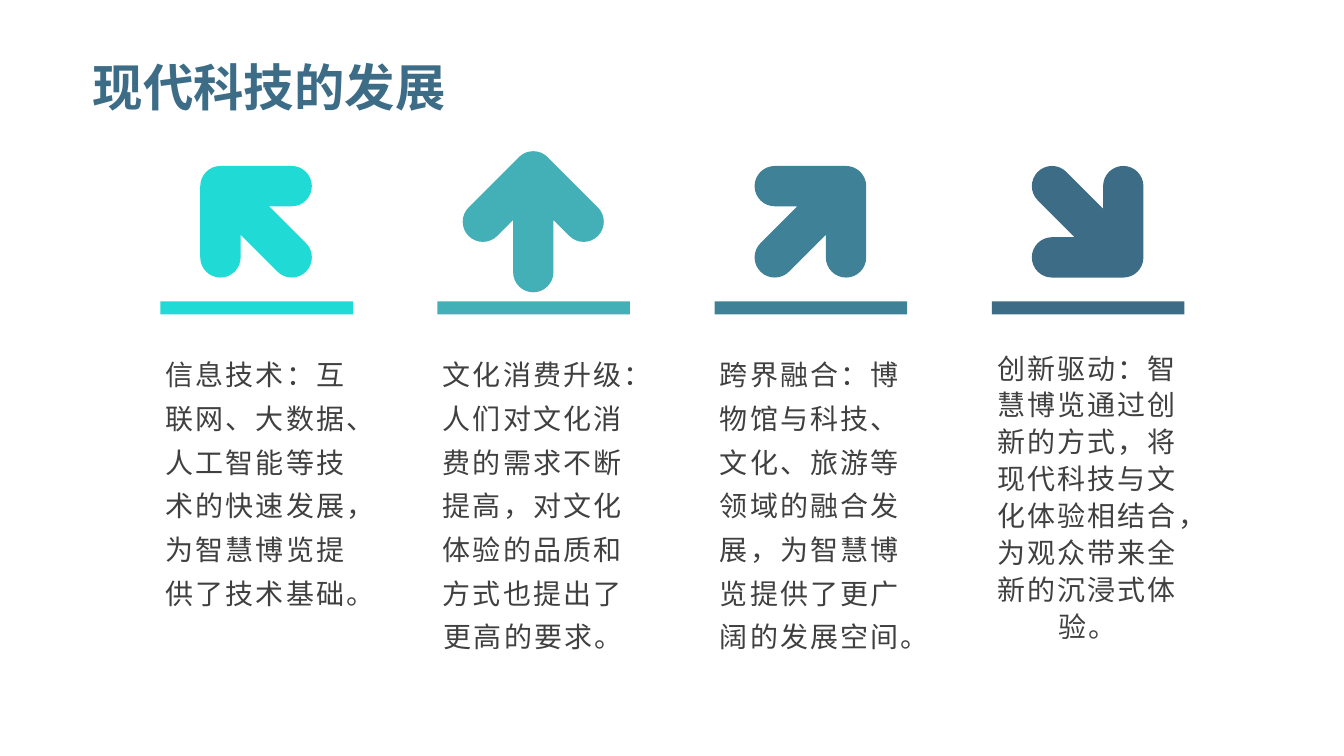
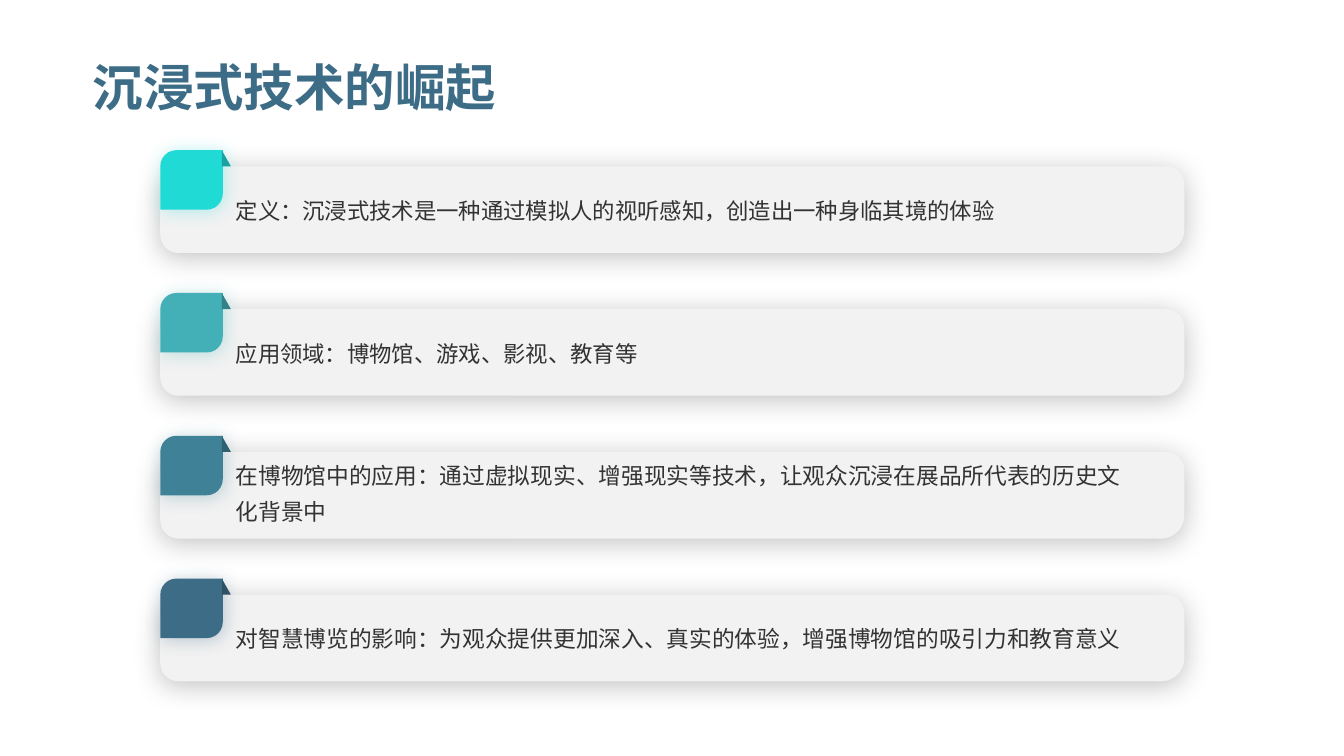
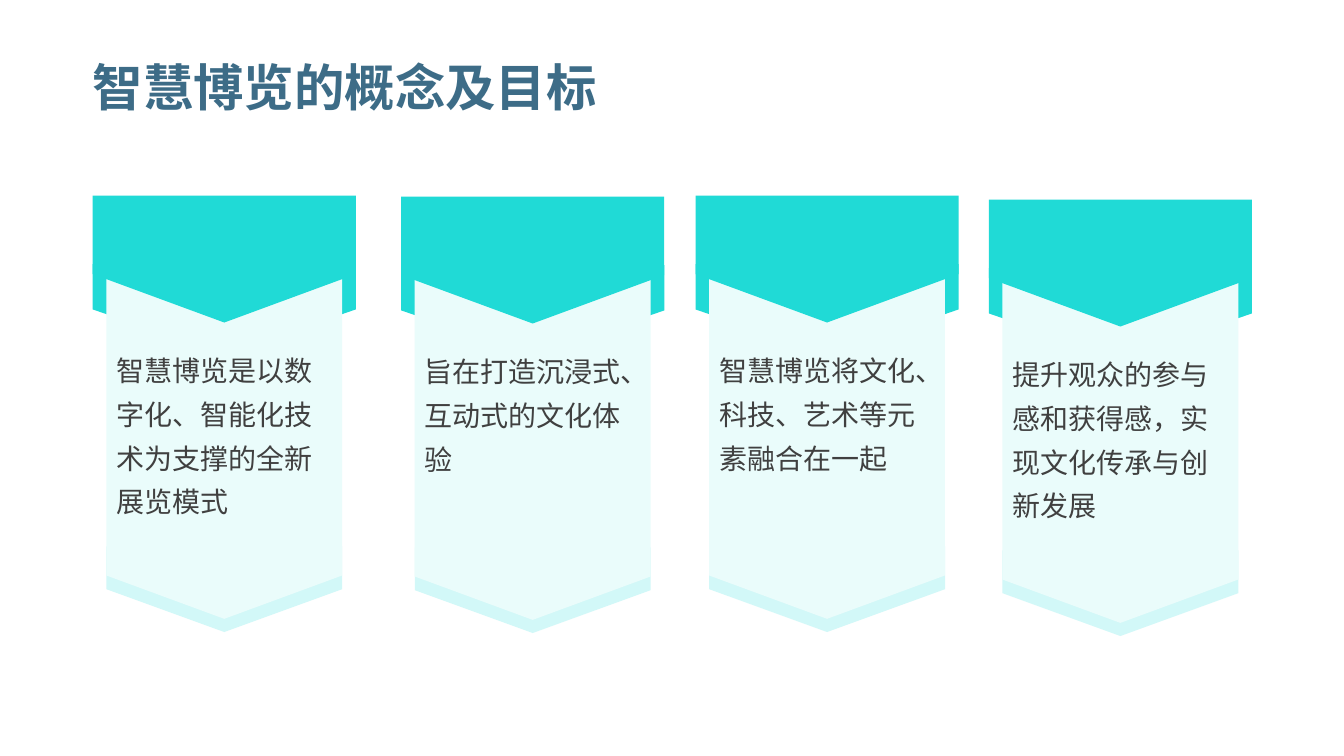
import math
from dataclasses import dataclass

import pptx
import pptx.dml.color
import pptx.enum.shapes
import pptx.enum.text
import pptx.oxml
import pptx.oxml.ns
import pptx.presentation
import pptx.shapes.autoshape
import pptx.slide
import pptx.util

Inches = pptx.util.Inches
Shape = pptx.shapes.autoshape.Shape
Slide = pptx.slide.Slide
ShapeKind = pptx.enum.shapes.MSO_SHAPE
Align = pptx.enum.text.PP_ALIGN
Anchor = pptx.enum.text.MSO_ANCHOR
Point = tuple[float, float]
Area = tuple[float, float, float, float]
DRAWING_NS = pptx.oxml.ns.nsdecls("a")


@dataclass(frozen=True)
class Theme:
    accents: tuple[str, ...] = ("20DAD6", "43AFB6", "3F8297", "3D6C87")
    folds: tuple[str, ...] = ("18A3A1", "328388", "2F6271", "2E5165")
    title: str = "3D6C87"
    body: str = "404040"
    row_text: str = "333333"
    panel: str = "F2F2F2"
    pennant: str = "EAFCFB"
    pennant_edge: str = "D2F8F8"
    title_font: str = "Arial"
    body_font: str = "Noto Sans CJK SC"
    title_size: float = 36
    body_size: float = 20
    row_size: float = 16
    long_row_size: float = 16.2


THEME = Theme()


@dataclass(frozen=True)
class TextStyle:
    size: float = THEME.body_size
    color: str = THEME.body
    font: str = THEME.body_font
    bold: bool = False
    align: Align = Align.LEFT
    anchor: Anchor = Anchor.TOP
    line_spacing: float = 1.3
    tracking: float = 0
    insets: Area = (0.1, 0.05, 0.1, 0.05)


@dataclass(frozen=True)
class Shadow:
    color: str
    opacity: int
    blur: float
    distance: float
    direction: int


@dataclass(frozen=True)
class Trend:
    """A column; side is -1 for an arrow that points left before it turns, 1 for right."""
    text: str
    side: int
    rotation: float
    line_spacing: float = 1.3


@dataclass(frozen=True)
class Row:
    text: str
    size: float = THEME.row_size
    line_spacing: float = 1.5


@dataclass(frozen=True)
class Goal:
    text: str
    left: float
    top: float


TITLE_STYLE = TextStyle(THEME.title_size, THEME.title, THEME.title_font, True,
                        anchor=Anchor.MIDDLE, line_spacing=1, insets=(0, 0, 0, 0))

TRENDS = (
    Trend("信息技术：互联网、大数据、人工智能等技术的快速发展，为智慧博览提供了技术基础。", -1, 45),
    Trend("文化消费升级：人们对文化消费的需求不断提高，对文化体验的品质和方式也提出了更高的要求。", -1, 90),
    Trend("跨界融合：博物馆与科技、文化、旅游等领域的融合发展，为智慧博览提供了更广阔的发展空间。", 1, 315),
    Trend("创新驱动：智慧博览通过创新的方式，将现代科技与文化体验相结合，为观众带来全新的沉浸式体验。", 1, 45, 1.1),
)

ROWS = (
    Row("定义：沉浸式技术是一种通过模拟人的视听感知，创造出一种身临其境的体验"),
    Row("应用领域：博物馆、游戏、影视、教育等"),
    Row("在博物馆中的应用：通过虚拟现实、增强现实等技术，让观众沉浸在展品所代表的历史文化背景中",
        THEME.long_row_size, 1.3),
    Row("对智慧博览的影响：为观众提供更加深入、真实的体验，增强博物馆的吸引力和教育意义",
        THEME.long_row_size),
)

GOALS = (
    Goal("智慧博览是以数字化、智能化技术为支撑的全新展览模式", 0.92, 1.94),
    Goal("旨在打造沉浸式、互动式的文化体验", 3.98, 1.95),
    Goal("智慧博览将文化、科技、艺术等元素融合在一起", 6.9, 1.94),
    Goal("提升观众的参与感和获得感，实现文化传承与创新发展", 9.81, 1.98),
)


def paint(shape: Shape, color: str) -> None:
    shape.shadow.inherit = False
    shape.fill.solid()
    shape.fill.fore_color.rgb = pptx.dml.color.RGBColor.from_string(color)
    shape.line.fill.background()


def add_block(page: Slide, kind: ShapeKind, area: Area, color: str) -> Shape:
    shape = page.shapes.add_shape(kind, *map(Inches, area))
    paint(shape, color)
    return shape


def add_outline(page: Slide, points: list[Point], color: str) -> Shape:
    corners = [(Inches(x), Inches(y)) for x, y in points]
    builder = page.shapes.build_freeform(*corners[0])
    builder.add_line_segments(corners[1:], close=True)
    shape = builder.convert_to_shape()
    paint(shape, color)
    return shape


def add_text(page: Slide, text: str, area: Area, style: TextStyle) -> None:
    frame = page.shapes.add_textbox(*map(Inches, area)).text_frame
    frame.word_wrap = True
    frame.vertical_anchor = style.anchor
    (frame.margin_left, frame.margin_top,
     frame.margin_right, frame.margin_bottom) = map(Inches, style.insets)
    frame.text = text
    para = frame.paragraphs[0]
    para.alignment = style.align
    para.line_spacing = style.line_spacing
    span = para.runs[0]
    span.font.name = style.font
    span.font.size = pptx.util.Pt(style.size)
    span.font.bold = style.bold
    span.font.color.rgb = pptx.dml.color.RGBColor.from_string(style.color)
    properties = span.font._element
    if style.tracking:
        properties.set("spc", str(round(style.tracking * 100)))
    east_asian = pptx.oxml.parse_xml(f'<a:ea {DRAWING_NS} typeface="{THEME.body_font}"/>')
    properties.find(pptx.oxml.ns.qn("a:latin")).addnext(east_asian)


def cast_shadow(shape: Shape, shadow: Shadow) -> None:
    effects = shape._element.spPr.find(pptx.oxml.ns.qn("a:effectLst"))
    effects.append(pptx.oxml.parse_xml(
        f'<a:outerShdw {DRAWING_NS} blurRad="{pptx.util.Pt(shadow.blur)}" '
        f'dist="{pptx.util.Pt(shadow.distance)}" dir="{shadow.direction * 60000}" '
        f'algn="ctr" rotWithShape="0"><a:srgbClr val="{shadow.color}">'
        f'<a:alpha val="{shadow.opacity * 1000}"/></a:srgbClr></a:outerShdw>'))


def add_page(deck: pptx.presentation.Presentation, title: str) -> Slide:
    page = deck.slides.add_slide(deck.slide_layouts[6])
    add_text(page, title, (0.92, 0.39, 11.5, 0.94), TITLE_STYLE)
    return page


def round_cap(center: Point, radius: float, start: int, quarters: int) -> list[list[Point]]:
    """Return the start point of an arc, then the three Bézier points of each quarter."""
    def at(angle: float, pull: float) -> Point:
        cos, sin = math.cos(math.radians(angle)), math.sin(math.radians(angle))
        return (center[0] + radius * (cos - pull * sin), center[1] + radius * (sin + pull * cos))

    pull = 4 / 3 * (math.sqrt(2) - 1)
    steps = [[at(start, 0)]]
    for angle in range(start, start + 90 * quarters, 90):
        steps.append([at(angle, pull), at(angle + 90, -pull), at(angle + 90, 0)])
    return steps


def add_round_arrow(page: Slide, center: Point, trend: Trend, color: str) -> None:
    half, radius = 0.7, 0.2
    reach = half - radius
    notch = reach - radius * (1 + math.sqrt(2))
    steps = [
        *round_cap((0, -reach), radius, -135, 1),
        *round_cap((reach, 0), radius, -45, 2),
        [(radius, -notch)],
        *round_cap((0, reach), radius, 0, 2),
        [(-radius, -notch)],
        *round_cap((-reach, 0), radius, 45, 2),
    ]
    left, top, right, bottom = (center[0] - half, center[1] - half,
                                center[0] + half, center[1] + half)
    arrow = add_outline(page, [(left, top), (right, top), (right, bottom), (left, bottom)], color)
    outline = arrow._element.spPr.find(".//" + pptx.oxml.ns.qn("a:path"))
    for child in list(outline):
        outline.remove(child)
    for index, step in enumerate(steps):
        tag = "moveTo" if index == 0 else "cubicBezTo" if len(step) == 3 else "lnTo"
        points = "".join(f'<a:pt x="{Inches(half - trend.side * y)}" y="{Inches(half + x)}"/>'
                         for x, y in step)
        outline.append(pptx.oxml.parse_xml(f"<a:{tag} {DRAWING_NS}>{points}</a:{tag}>"))
    outline.append(pptx.oxml.parse_xml(f"<a:close {DRAWING_NS}/>"))
    arrow.rotation = trend.rotation


def add_down_plate(page: Slide, area: Area, color: str) -> None:
    """Fill the area with a pentagon that points down."""
    left, top, width, height = area
    shift = (width - height) / 2
    plate = add_block(page, ShapeKind.PENTAGON,
                      (left + shift, top - shift, height, width), color)
    plate.rotation = 90


def add_pennant(page: Slide, area: Area, point_depth: float, color: str) -> None:
    left, top, width, height = area
    right, bottom = left + width, top + height
    add_outline(page, [(left, top), (right, top), (right, bottom - point_depth),
                       (left + width / 2, bottom), (left, bottom - point_depth)], color)


def build_trends(deck: pptx.presentation.Presentation) -> None:
    page = add_page(deck, "现代科技的发展")
    for index, (trend, color) in enumerate(zip(TRENDS, THEME.accents)):
        left = 1.59 + 2.75 * index
        add_round_arrow(page, (left + 0.95, 2.2), trend, color)
        add_text(page, trend.text, (left - 0.15, 3.4, 2.2, 3.35),
                 TextStyle(align=Align.CENTER, line_spacing=trend.line_spacing, tracking=1.5))
        add_block(page, ShapeKind.RECTANGLE, (left, 2.99, 1.91, 0.13), color)


def build_rows(deck: pptx.presentation.Presentation) -> None:
    page = add_page(deck, "沉浸式技术的崛起")
    left, pitch = 1.59, 4.25 / 3
    for index, (row, color, fold) in enumerate(zip(ROWS, THEME.accents, THEME.folds)):
        top = 1.49 + pitch * index
        panel = add_block(page, ShapeKind.ROUND_2_DIAG_RECTANGLE,
                          (left, top + 0.16, 10.16, 0.86), THEME.panel)
        panel.adjustments[0], panel.adjustments[1] = 0.27, 0.21
        cast_shadow(panel, Shadow("000000", 23, 20, 3, 107))
        tab = add_block(page, ShapeKind.ROUND_2_DIAG_RECTANGLE, (left, top, 0.62, 0.59), color)
        tab.adjustments[0] = 0.27
        cast_shadow(tab, Shadow(color, 31, 13, 2, 45))
        add_block(page, ShapeKind.RIGHT_TRIANGLE, (left + 0.61, top, 0.09, 0.16), fold)
        add_text(page, row.text, (left + 0.65, top + 0.17, 9.18, 0.84),
                 TextStyle(row.size, THEME.row_text, anchor=Anchor.MIDDLE,
                           line_spacing=row.line_spacing, insets=(0.1, 0, 0.1, 0.12)))


def build_goals(deck: pptx.presentation.Presentation) -> None:
    page = add_page(deck, "智慧博览的概念及目标")
    accent = THEME.accents[0]
    outer_width, inner_width = 2.61, 2.34
    for goal in GOALS:
        left, top = goal.left, goal.top
        inner = left + (outer_width - inner_width) / 2
        add_down_plate(page, (left, top + 0.68, outer_width, 0.9), accent)
        add_down_plate(page, (inner, top + 3.48, inner_width, 0.85), THEME.pennant_edge)
        add_pennant(page, (inner, top + 0.67, inner_width, 3.53), 0.43, THEME.pennant)
        add_pennant(page, (left, top, outer_width, 1.26), 0.48, accent)
        add_text(page, goal.text, (inner, top + 1.42, inner_width, 2.11), TextStyle())


def main() -> None:
    deck = pptx.Presentation()
    deck.slide_width, deck.slide_height = Inches(40 / 3), Inches(7.5)
    build_trends(deck)
    build_rows(deck)
    build_goals(deck)
    deck.save("out.pptx")


if __name__ == "__main__":
    main()
